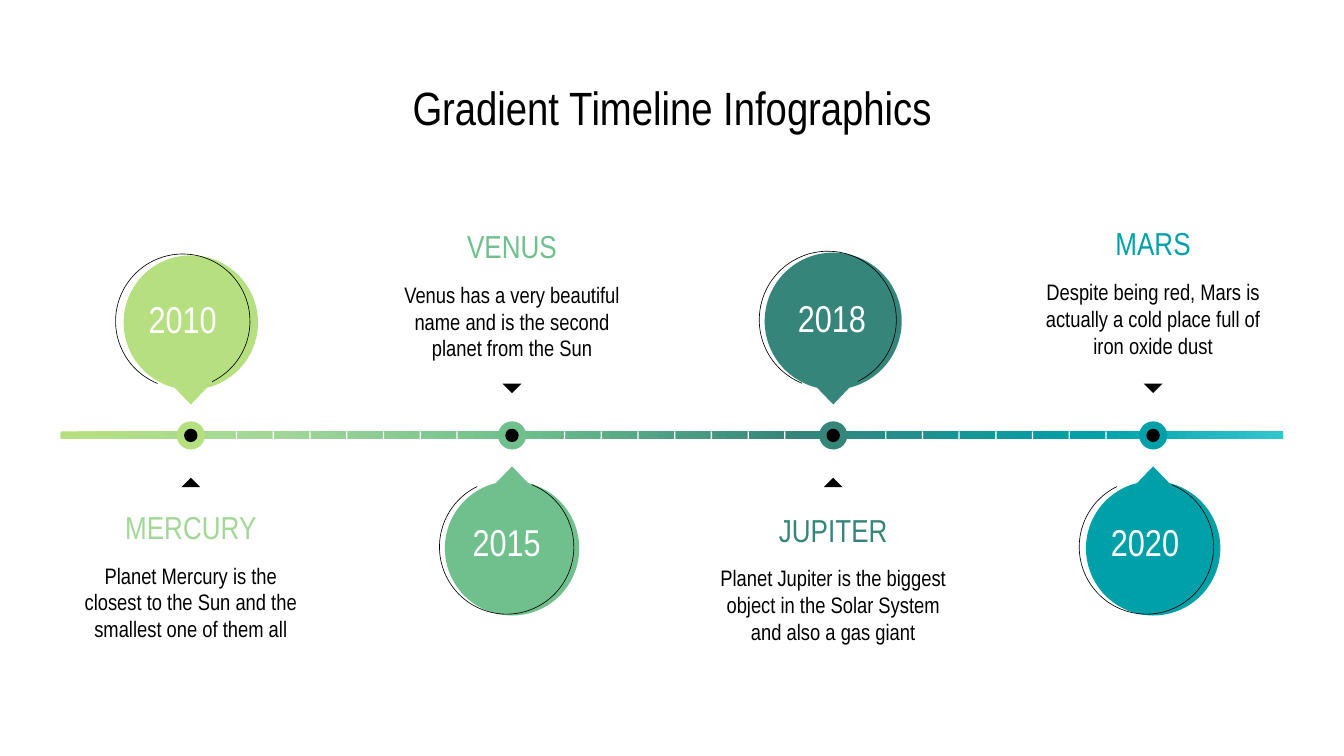
import math
from dataclasses import dataclass

import pptx
import pptx.dml.color
import pptx.enum.shapes
import pptx.enum.text
import pptx.oxml
import pptx.oxml.ns
import pptx.util

Inches = pptx.util.Inches
SHAPE = pptx.enum.shapes.MSO_SHAPE
ANCHOR = pptx.enum.text.MSO_ANCHOR
FONT = "Arial Narrow"
BLACK, WHITE = "000000", "FFFFFF"
SLIDE_WIDTH = 10
SLIDE_HEIGHT = SLIDE_WIDTH * 9 / 16
AXIS_Y = 3.24
COLUMN_WIDTH = 1.94


@dataclass
class Event:
    year: str
    planet: str
    story: str
    color: str
    planet_color: str
    x: float
    pin_y: float
    radius: float
    ring_x: float
    year_x: float
    year_y: float
    planet_y: float
    pin_above: bool


EVENTS = [
    Event("2010", "MERCURY", "Planet Mercury is the closest to the Sun and the smallest one of them all",
          "B6E080", "A3D798", 1.42, 2.4, 0.5, 1.36, 1.36, 2.37, 3.83, True),
    Event("2015", "VENUS", "Venus has a very beautiful name and is the second planet from the Sun",
          "70C08D", "70C08D", 3.81, 4.08, 0.5, 3.77, 3.77, 4.03, 1.74, False),
    Event("2018", "JUPITER", "Planet Jupiter is the biggest object in the Solar System and also a gas giant",
          "36857B", "36857B", 6.2, 2.39, 0.51, 6.16, 6.19, 2.36, 3.85, True),
    Event("2020", "MARS", "Despite being red, Mars is actually a cold place full of iron oxide dust",
          "00A0A9", "00A0A9", 8.58, 4.08, 0.5, 8.53, 8.52, 4.03, 1.72, False),
]
BAR_STOPS = [(0, "B6E080"), (17, "A3D798"), (37, "70C08D"),
             (60, "36857B"), (84, "00A0A9"), (100, "33C5CE")]
TICK_STARTS = [1.75, 4.19, 6.58]
TICKS_PER_GAP = 7
TICK_STEP = 1.64 / (TICKS_PER_GAP - 1)


def rgb(value: str) -> pptx.dml.color.RGBColor:
    return pptx.dml.color.RGBColor.from_string(value)


def paint(shape, color: str) -> None:
    shape.shadow.inherit = False
    shape.fill.solid()
    shape.fill.fore_color.rgb = rgb(color)
    shape.line.fill.background()


def add_preset(slide, kind, x: float, y: float, width: float, height: float, color: str):
    """Draw a filled preset shape centred on x, y."""
    shape = slide.shapes.add_shape(kind, Inches(x - width / 2), Inches(y - height / 2),
                                   Inches(width), Inches(height))
    paint(shape, color)
    return shape


def add_text(slide, text: str, left: float, top: float, width: float, height: float,
             size: float, color: str, anchor=ANCHOR.MIDDLE) -> None:
    frame = slide.shapes.add_textbox(Inches(left), Inches(top), Inches(width), Inches(height)).text_frame
    margins = {f"margin_{side}": Inches(0.1) for side in ("left", "top", "right", "bottom")}
    for name, value in {"word_wrap": True, "vertical_anchor": anchor, **margins}.items():
        setattr(frame, name, value)
    paragraph = frame.paragraphs[0]
    paragraph.text = text
    paragraph.alignment = pptx.enum.text.PP_ALIGN.CENTER
    for name, value in {"name": FONT, "size": pptx.util.Pt(size)}.items():
        setattr(paragraph.font, name, value)
    paragraph.font.color.rgb = rgb(color)


def arc(x: float, y: float, radius: float, start: float, sweep: float, steps: int = 90) -> list:
    """Points along a circular arc; angles in degrees, clockwise from the right."""
    angles = [math.radians(start + sweep * step / steps) for step in range(steps + 1)]
    return [(x + radius * math.cos(a), y + radius * math.sin(a)) for a in angles]


def add_outline(slide, points: list, closed: bool):
    scaled = [(Inches(x), Inches(y)) for x, y in points]
    builder = slide.shapes.build_freeform(*scaled[0], scale=1.0)
    builder.add_line_segments(scaled[1:], close=closed)
    return builder.convert_to_shape()


def add_pin(slide, event: Event) -> None:
    turn = 0 if event.pin_above else 180
    toward_axis = 1 if event.pin_above else -1
    neck = math.degrees(math.asin(0.12 / event.radius))
    body = arc(event.x, event.pin_y, event.radius, 90 + turn + neck, 360 - 2 * neck)
    tip = (event.x, event.pin_y + toward_axis * (event.radius + 0.11))
    paint(add_outline(slide, [tip] + body, True), event.color)

    # Thin offset ring, open near the tip
    ring = add_outline(slide, arc(event.ring_x, event.pin_y - 0.01, event.radius, 112 + turn, 312), False)
    ring.shadow.inherit = False
    ring.fill.background()
    ring.line.color.rgb = rgb(BLACK)
    ring.line.width = pptx.util.Pt(0.34)


def add_event(slide, event: Event) -> None:
    add_pin(slide, event)
    if event.pin_above:
        pointer, pointer_y, story_gap, anchor = SHAPE.ISOSCELES_TRIANGLE, 3.59, 0.25, ANCHOR.TOP
    else:
        pointer, pointer_y, story_gap, anchor = SHAPE.FLOWCHART_MERGE, 2.89, 0.42, ANCHOR.BOTTOM
    add_preset(slide, pointer, event.x, pointer_y, 0.14, 0.07, BLACK)
    add_text(slide, event.year, event.year_x - 0.5, event.year_y - 0.26, 1, 0.52, 20, WHITE)
    left = event.x - COLUMN_WIDTH / 2
    add_text(slide, event.planet, left, event.planet_y, COLUMN_WIDTH, 0.18, 17, event.planet_color)
    add_text(slide, event.story, left, event.planet_y + story_gap, COLUMN_WIDTH, 0.63, 12, BLACK, anchor)


def add_bar(slide) -> None:
    bar = add_preset(slide, SHAPE.ROUNDED_RECTANGLE, 5, AXIS_Y, 9.1, 0.06, BAR_STOPS[0][1])
    bar.fill.gradient()
    bar.fill.gradient_angle = 0
    stops = bar._element.spPr.find(".//" + pptx.oxml.ns.qn("a:gsLst"))
    for stop in list(stops):
        stops.remove(stop)
    for position, color in BAR_STOPS:
        stops.append(pptx.oxml.parse_xml(
            f'<a:gs {pptx.oxml.ns.nsdecls("a")} pos="{position * 1000}"><a:srgbClr val="{color}"/></a:gs>'))


def main() -> None:
    deck = pptx.Presentation()
    deck.slide_width, deck.slide_height = Inches(SLIDE_WIDTH), Inches(SLIDE_HEIGHT)
    slide = deck.slides.add_slide(deck.slide_layouts[6])

    # Heading and events
    add_text(slide, "Gradient Timeline Infographics", 0.45, 0.49, 9.1, 0.63, 25, BLACK, ANCHOR.TOP)
    for event in EVENTS:
        add_event(slide, event)

    # Time axis with ticks and markers
    add_bar(slide)
    for start in TICK_STARTS:
        for index in range(TICKS_PER_GAP):
            add_preset(slide, SHAPE.RECTANGLE, start + index * TICK_STEP + 0.01, AXIS_Y, 0.01, 0.06, WHITE)
    for event in EVENTS:
        for diameter, color in ((0.21, event.color), (0.1, BLACK)):
            add_preset(slide, SHAPE.OVAL, event.x, AXIS_Y, diameter, diameter, color)

    deck.save("out.pptx")


if __name__ == "__main__":
    main()
